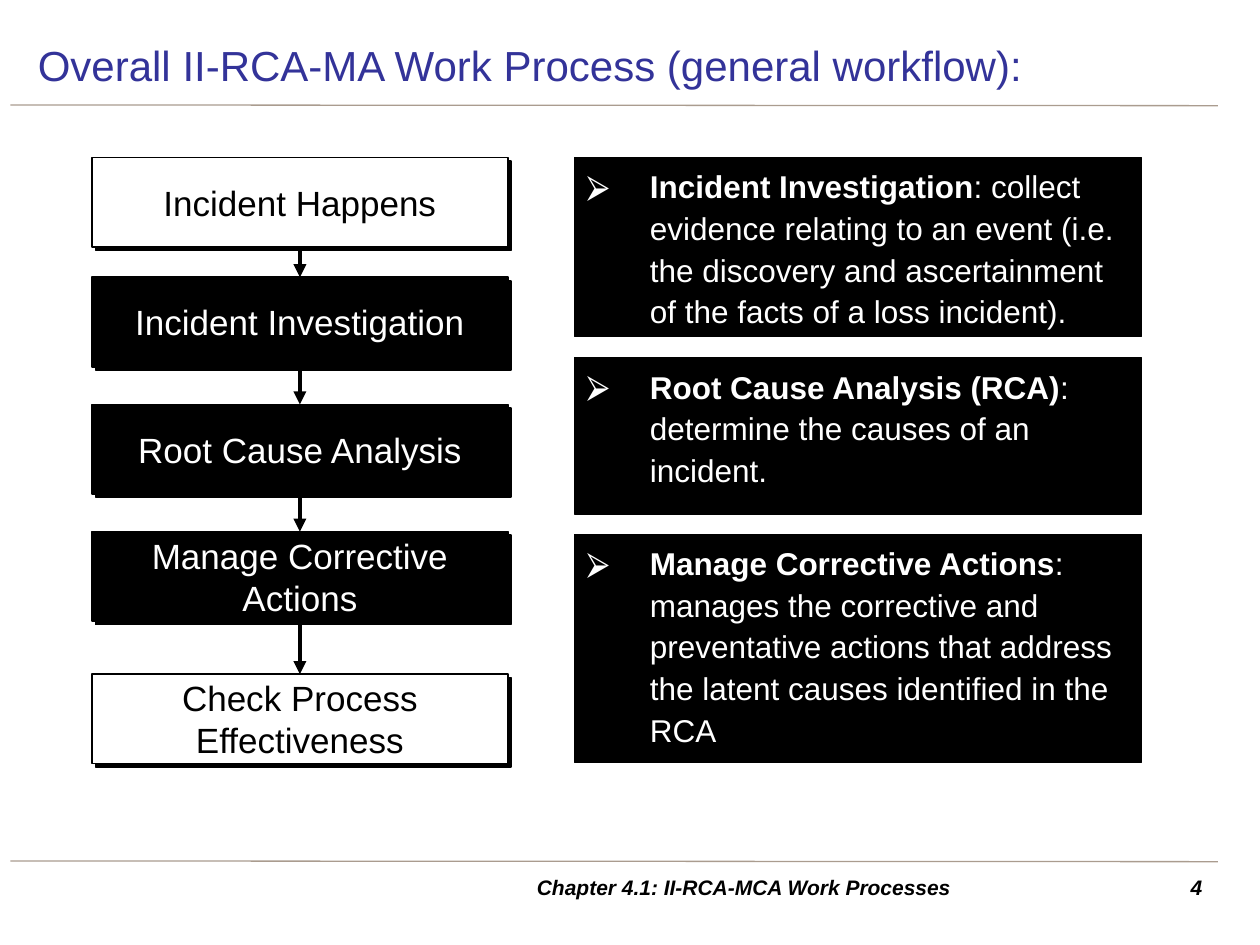
from lxml import etree
from pptx import Presentation
from pptx.dml.color import RGBColor
from pptx.enum import shapes, text
from pptx.oxml import ns
from pptx.util import Pt

BLACK, WHITE, TITLE_BLUE, RULE_TAN = "000000", "FFFFFF", "333399", "AA9C8F"


def format_text(box, size, color, align, anchor, bold=False, italic=False):
    frame = box.text_frame
    frame.word_wrap = True
    frame.auto_size = text.MSO_AUTO_SIZE.NONE
    frame.vertical_anchor = anchor
    frame.margin_left = frame.margin_right = Pt(7.2)
    frame.margin_top = frame.margin_bottom = Pt(3.6)
    for para in frame.paragraphs:
        para.alignment = align
        for span in para.runs:
            span.font.name = "Arial"
            span.font.size = Pt(size)
            span.font.bold = bold
            span.font.italic = italic
            span.font.color.rgb = RGBColor.from_string(color)


def add_line(page, start, end, color, width):
    line = page.shapes.add_connector(shapes.MSO_CONNECTOR.STRAIGHT, *map(Pt, start + end))
    line.line.color.rgb = RGBColor.from_string(color)
    line.line.width = Pt(width)
    etree.SubElement(line._element.spPr, ns.qn("a:effectLst"))
    return line


deck = Presentation()
deck.slide_width, deck.slide_height = Pt(720), Pt(540)
page = deck.slides.add_slide(deck.slide_layouts[5])

# Header and footer rules
for top in (60, 492):
    add_line(page, (6, top), (696, top + 0.4), RULE_TAN, 0.75)

# Title
title = page.shapes.title
title.left, title.top, title.width, title.height = Pt(14.4), Pt(17.3), Pt(680.4), Pt(39.6)
title.text_frame.text = "Overall II-RCA-MA Work Process (general workflow):"
format_text(title, 24, TITLE_BLUE, text.PP_ALIGN.LEFT, text.MSO_ANCHOR.MIDDLE)

# Footer and page number
footers = [
    ("Chapter 4.1: II-RCA-MCA Work Processes", 212.4, 425.5,
     text.PP_ALIGN.CENTER, text.MSO_ANCHOR.MIDDLE),
    ("4", 652.3, 41.8, text.PP_ALIGN.RIGHT, text.MSO_ANCHOR.TOP),
]
for words, left, width, align, anchor in footers:
    box = page.shapes.add_textbox(Pt(left), Pt(496), Pt(width), Pt(22.3))
    box.text_frame.text = words
    format_text(box, 12, BLACK, align, anchor, bold=True, italic=True)

# Workflow steps, each with a hard shadow
step_left, step_width, step_height = 52.6, 237.6, 51.1
steps = [
    ("Incident Happens", 90, WHITE, BLACK),
    ("Incident Investigation", 158.4, BLACK, WHITE),
    ("Root Cause Analysis", 231.1, BLACK, WHITE),
    ("Manage Corrective Actions", 303.8, BLACK, WHITE),
    ("Check Process Effectiveness", 385.2, WHITE, BLACK),
]
for words, top, fill, color in steps:
    box = page.shapes.add_shape(shapes.MSO_SHAPE.FLOWCHART_PROCESS,
                                Pt(step_left), Pt(top), Pt(step_width), Pt(step_height))
    box.fill.solid()
    box.fill.fore_color.rgb = RGBColor.from_string(fill)
    box.line.color.rgb = RGBColor.from_string(BLACK)
    box.line.width = Pt(1)
    box.shadow.inherit = False
    effects = box._element.spPr.find(ns.qn("a:effectLst"))
    shadow = etree.SubElement(effects, ns.qn("a:outerShdw"), dist=str(Pt(2.8)),
                              dir="2700000", algn="ctr", rotWithShape="0")
    etree.SubElement(shadow, ns.qn("a:srgbClr"), val=BLACK)
    box.text_frame.text = words
    format_text(box, 20, color, text.PP_ALIGN.CENTER, text.MSO_ANCHOR.MIDDLE)

# Arrows from each step to the next
center = step_left + step_width / 2
for upper, lower in zip(steps, steps[1:]):
    arrow = add_line(page, (center, upper[1] + step_height), (center, lower[1]), BLACK, 2.5)
    etree.SubElement(arrow.line._get_or_add_ln(), ns.qn("a:tailEnd"), type="triangle")

# Definitions of the three main steps
definitions = [
    ("Incident Investigation",
     ": collect evidence relating to an event (i.e. the discovery and ascertainment "
     "of the facts of a loss incident).", 90, 102.2),
    ("Root Cause Analysis (RCA)", ": determine the causes of an incident.", 204.5, 89.3),
    ("Manage Corrective Actions",
     ": manages the corrective and preventative actions that address the latent causes "
     "identified in the RCA", 305.3, 130.3),
]
for term, meaning, top, height in definitions:
    box = page.shapes.add_shape(shapes.MSO_SHAPE.RECTANGLE,
                                Pt(328.3), Pt(top), Pt(324), Pt(height))
    box.shadow.inherit = False
    box.fill.solid()
    box.fill.fore_color.rgb = RGBColor.from_string(BLACK)
    box.line.color.rgb = RGBColor.from_string(BLACK)
    box.line.width = Pt(0.75)
    para = box.text_frame.paragraphs[0]
    para.line_spacing = 1.1
    props = para._p.get_or_add_pPr()
    props.set("marL", str(Pt(36)))
    props.set("indent", str(Pt(-36)))
    bullet_color = etree.SubElement(props, ns.qn("a:buClr"))
    etree.SubElement(bullet_color, ns.qn("a:srgbClr"), val=WHITE)
    etree.SubElement(props, ns.qn("a:buFont"), typeface="Arial")
    etree.SubElement(props, ns.qn("a:buChar"), char="⮚")
    for words in (term, meaning):
        para.add_run().text = words
    format_text(box, 18, WHITE, text.PP_ALIGN.LEFT, text.MSO_ANCHOR.TOP)
    para.runs[0].font.bold = True

deck.save("out.pptx")
